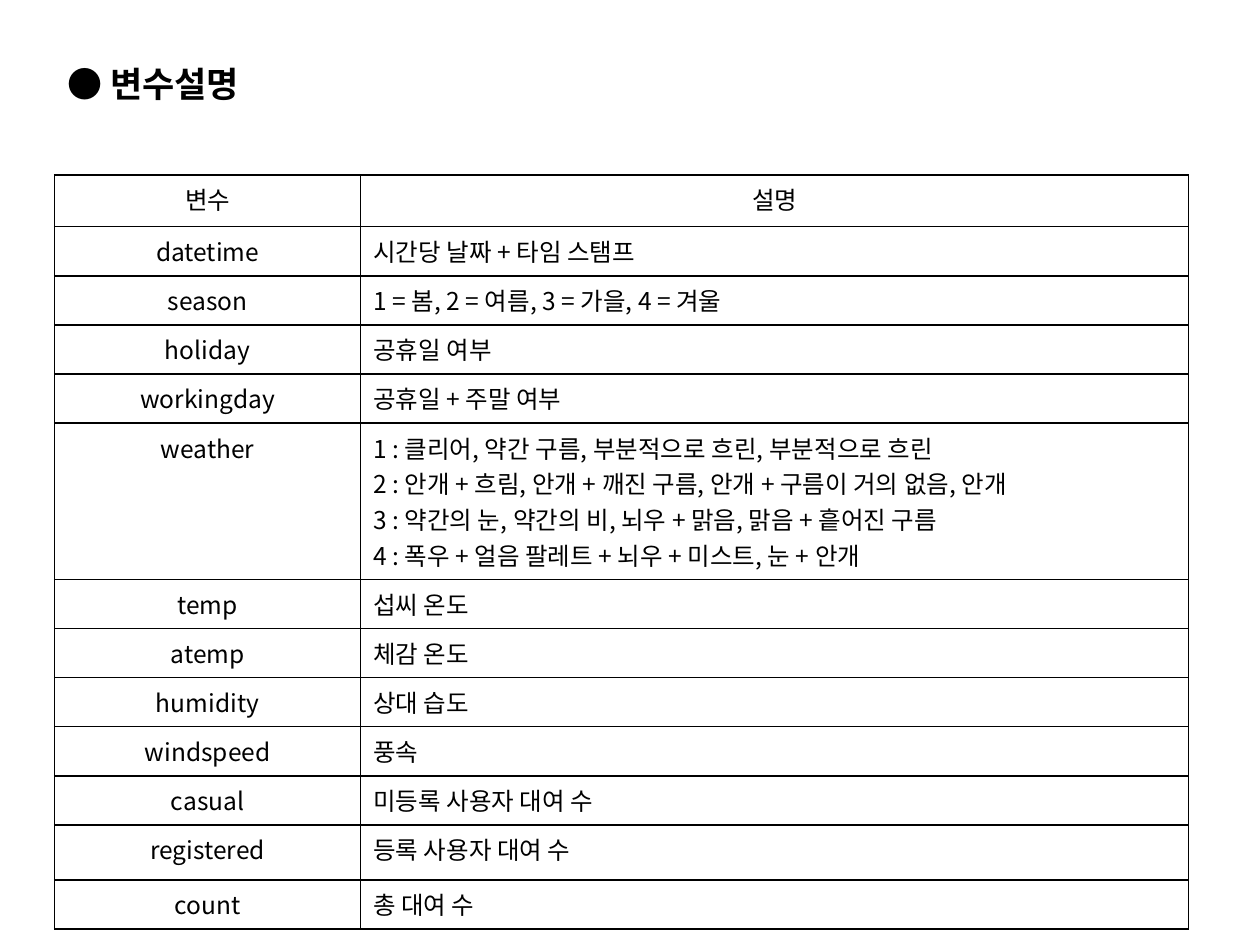
import pptx
import pptx.dml.color
import pptx.enum.text
import pptx.oxml
import pptx.oxml.ns
import pptx.util
from pptx.util import Cm

BLACK = pptx.dml.color.RGBColor(0, 0, 0)
FONT = "Noto Sans CJK KR"
LEFT = pptx.enum.text.PP_ALIGN.LEFT
CENTER = pptx.enum.text.PP_ALIGN.CENTER

VARIABLES = [
    ("변수", "설명"),
    ("datetime", "시간당 날짜 + 타임 스탬프"),
    ("season", "1 = 봄, 2 = 여름, 3 = 가을, 4 = 겨울"),
    ("holiday", "공휴일 여부"),
    ("workingday", "공휴일 + 주말 여부"),
    ("weather", "\v".join([
        "1 : 클리어, 약간 구름, 부분적으로 흐린, 부분적으로 흐린",
        "2 : 안개 + 흐림, 안개 + 깨진 구름, 안개 + 구름이 거의 없음, 안개",
        "3 : 약간의 눈, 약간의 비, 뇌우 + 맑음, 맑음 + 흩어진 구름",
        "4 : 폭우 + 얼음 팔레트 + 뇌우 + 미스트, 눈 + 안개",
    ])),
    ("temp", "섭씨 온도"),
    ("atemp", "체감 온도"),
    ("humidity", "상대 습도"),
    ("windspeed", "풍속"),
    ("casual", "미등록 사용자 대여 수"),
    ("registered", "등록 사용자 대여 수"),
    ("count", "총 대여 수"),
]
ROW_HEIGHT = Cm(0.99)
SPECIAL_HEIGHTS = {"변수": Cm(1.04), "weather": Cm(3.15), "registered": Cm(1.11)}
NAME_SHARE = 0.27


def write(text_frame, text, size, align, bold=False):
    paragraph = text_frame.paragraphs[0]
    paragraph.text = text
    paragraph.alignment = align
    for run in paragraph.runs:
        run.font.size = pptx.util.Pt(size)
        run.font.bold = bold
        run.font.name = FONT
        run.font.color.rgb = BLACK
        # East Asian typeface follows the Latin one
        east_asian = pptx.oxml.parse_xml(
            f'<a:ea {pptx.oxml.ns.nsdecls("a")} typeface="{FONT}"/>')
        run.font._element.find(pptx.oxml.ns.qn("a:latin")).addnext(east_asian)


def add_borders(cell):
    properties = cell._tc.get_or_add_tcPr()
    for position, side in enumerate("LRTB"):
        properties.insert(position, pptx.oxml.parse_xml(
            f'<a:ln{side} {pptx.oxml.ns.nsdecls("a")} w="12700"><a:solidFill>'
            f'<a:srgbClr val="{BLACK}"/></a:solidFill></a:ln{side}>'))


def place_heading(slide, left, top, width, height):
    heading = slide.shapes.title
    heading.left, heading.top, heading.width, heading.height = left, top, width, height
    frame = heading.text_frame
    write(frame, "● 변수설명", 20, LEFT, bold=True)
    frame.word_wrap = False
    frame.auto_size = pptx.enum.text.MSO_AUTO_SIZE.SHAPE_TO_FIT_TEXT
    frame.vertical_anchor = pptx.enum.text.MSO_ANCHOR.TOP


def place_variables(slide, left, top, width):
    heights = [SPECIAL_HEIGHTS.get(name, ROW_HEIGHT) for name, _ in VARIABLES]
    table = slide.shapes.add_table(
        len(VARIABLES), 2, left, top, width, sum(heights)).table
    table.horz_banding = False
    table.first_row = False
    table.columns[0].width = int(width * NAME_SHARE)
    table.columns[1].width = width - table.columns[0].width

    for index, (entry, height) in enumerate(zip(VARIABLES, heights)):
        table.rows[index].height = height
        for column, text in enumerate(entry):
            cell = table.cell(index, column)
            cell.fill.background()
            add_borders(cell)
            centered = index == 0 or column == 0
            write(cell.text_frame, text, 14, CENTER if centered else LEFT)


def main():
    presentation = pptx.Presentation()
    presentation.slide_width = Cm(25.4)
    presentation.slide_height = Cm(19.05)
    slide = presentation.slides.add_slide(presentation.slide_layouts[5])

    # Heading above the table of variables
    margin = Cm(1.1)
    place_heading(slide, margin, Cm(1.14), Cm(4.4), Cm(1.11))
    place_variables(slide, margin, Cm(3.53), Cm(22.86))

    presentation.save("out.pptx")


if __name__ == "__main__":
    main()
